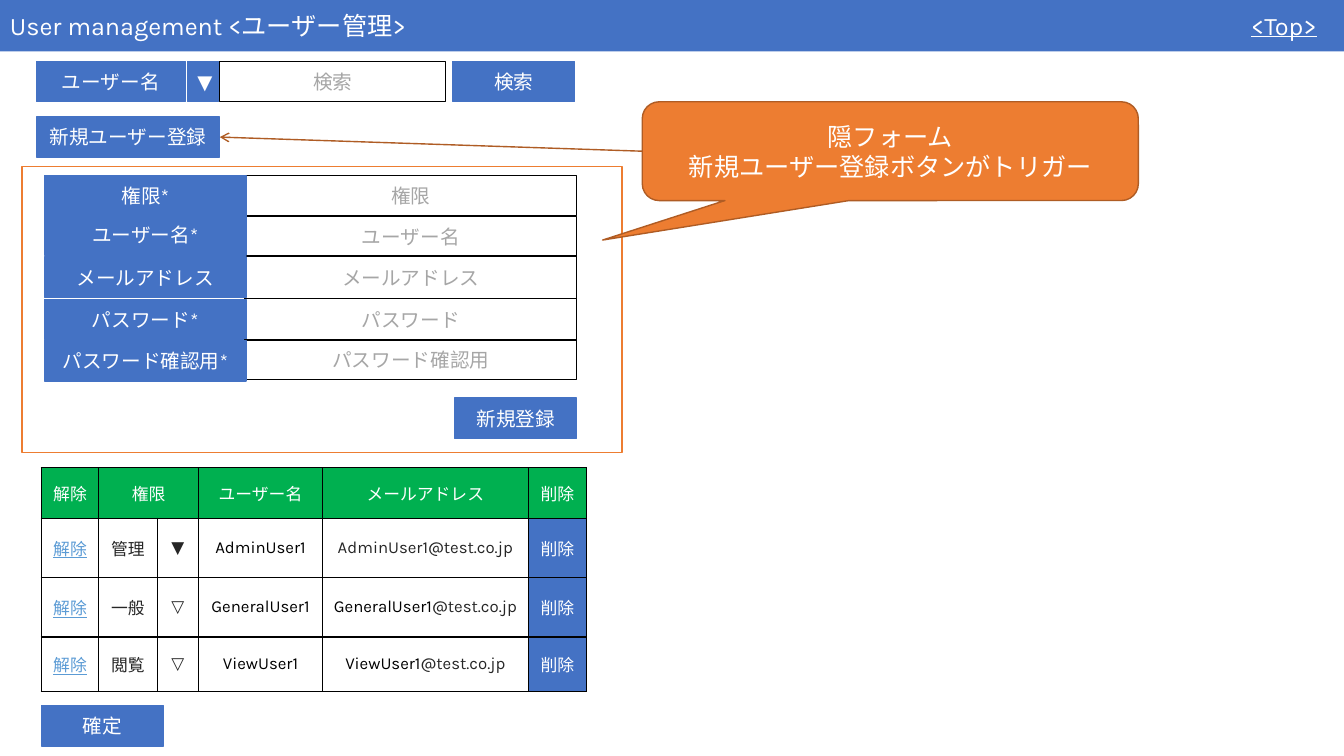
from lxml.etree import SubElement
from pptx import Presentation
from pptx.dml.color import RGBColor
from pptx.enum.shapes import MSO_CONNECTOR, MSO_SHAPE
from pptx.enum.text import MSO_ANCHOR, PP_ALIGN
from pptx.oxml import parse_xml
from pptx.oxml.ns import nsdecls, qn
from pptx.util import Emu, Pt

PX = 9144  # EMU in one px, 100 px to the inch

WHITE = RGBColor(0xFF, 0xFF, 0xFF)
BLACK = RGBColor(0x00, 0x00, 0x00)
DARK = RGBColor(0x26, 0x26, 0x26)
GREY = RGBColor(0xA6, 0xA6, 0xA6)
BLUE = RGBColor(0x44, 0x72, 0xC4)
LINK = RGBColor(0x5B, 0x9B, 0xD5)
GREEN = RGBColor(0x00, 0xB0, 0x50)
ORANGE = RGBColor(0xED, 0x7D, 0x31)
RUST = RGBColor(0xAF, 0x5C, 0x24)


def px(length):
    return Emu(length * PX)


class Screen:
    font_name = "Karla"

    def __init__(self, page):
        self.page = page

    def set_text(self, para, text, size, color, align=PP_ALIGN.CENTER, underline=None):
        para.text = text
        para.alignment = align
        para.font.name = self.font_name
        para.font.size = Pt(size)
        para.font.color.rgb = color
        para.font.underline = underline

    def box(self, area, fill=None, line=None, weight=1, kind=MSO_SHAPE.RECTANGLE):
        shape = self.page.shapes.add_shape(kind, *map(px, area))
        shape.shadow.inherit = False
        if fill is None:
            shape.fill.background()
        else:
            shape.fill.solid()
            shape.fill.fore_color.rgb = fill
        if line is None:
            shape.line.fill.background()
        else:
            shape.line.color.rgb = line
            shape.line.width = Pt(weight)
        shape.text_frame.vertical_anchor = MSO_ANCHOR.MIDDLE
        return shape

    def bar(self, area, text):
        shape = self.box(area, BLUE)
        self.set_text(shape.text_frame.paragraphs[0], text, 18, WHITE, PP_ALIGN.LEFT)

    def link(self, area, text):
        frame = self.page.shapes.add_textbox(*map(px, area)).text_frame
        frame.word_wrap = False
        self.set_text(frame.paragraphs[0], text, 18, WHITE, PP_ALIGN.LEFT, True)

    def button(self, area, text):
        shape = self.box(area, BLUE, BLUE)
        self.set_text(shape.text_frame.paragraphs[0], text, 14, WHITE)
        return shape

    def field(self, area, hint):
        shape = self.box(area, line=BLACK, weight=0.75)
        shape.text_frame.word_wrap = False
        self.set_text(shape.text_frame.paragraphs[0], hint, 14, GREY)

    def callout(self, area, lines, adjustments):
        shape = self.box(area, ORANGE, RUST, kind=MSO_SHAPE.ROUNDED_RECTANGULAR_CALLOUT)
        for index, value in enumerate(adjustments):
            shape.adjustments[index] = value
        frame = shape.text_frame
        for index, text in enumerate(lines):
            para = frame.add_paragraph() if index else frame.paragraphs[0]
            self.set_text(para, text, 18, WHITE)
        return shape

    def arrow(self, start, start_side, end, end_side):
        line = self.page.shapes.add_connector(MSO_CONNECTOR.STRAIGHT, 0, 0, 0, 0)
        line.begin_connect(start, start_side)
        line.end_connect(end, end_side)
        line.line.color.rgb = RUST
        line.line.width = Pt(1)
        properties = line._element.spPr
        SubElement(properties.find(qn("a:ln")), qn("a:tailEnd"), type="arrow")
        SubElement(properties, qn("a:effectLst"))

    def cell(self, cell, text, color, fill=None, underline=None):
        cell.vertical_anchor = MSO_ANCHOR.MIDDLE
        self.set_text(cell.text_frame.paragraphs[0], text, 12, color, underline=underline)
        if fill is None:
            cell.fill.background()
        else:
            cell.fill.solid()
            cell.fill.fore_color.rgb = fill
        for index, side in enumerate(("lnL", "lnR", "lnT", "lnB")):
            border = parse_xml(
                f'<a:{side} {nsdecls("a")} w="12700"><a:solidFill>'
                f'<a:srgbClr val="{BLACK}"/></a:solidFill></a:{side}>')
            cell._tc.get_or_add_tcPr().insert(index, border)

    def table(self, left, top, widths, heights):
        table = self.page.shapes.add_table(
            len(heights), len(widths), px(left), px(top),
            px(sum(widths)), px(sum(heights))).table
        table.first_row = table.horz_banding = False
        for column, width in zip(table.columns, widths):
            column.width = px(width)
        for row, height in zip(table.rows, heights):
            row.height = px(height)
        return table


def header(screen):
    screen.bar((0, 0, 1333, 51), "User management <ユーザー管理>")
    screen.link((1231, 5, 95, 40), "<Top>")


def search(screen):
    screen.field((218, 61, 224, 40), "検索")
    screen.button((36, 61, 148, 40), "ユーザー名")
    screen.button((449, 61, 121, 40), "検索")
    screen.button((186, 61, 31, 40), "▼")


def user_table(screen):
    table = screen.table(41, 464, (57, 58, 41, 123, 204, 58), (50, 59, 59, 54))

    # Header row, with one heading over the role and its arrow
    headings = ("解除", "権限", "", "ユーザー名", "メールアドレス", "削除")
    for column, heading in enumerate(headings):
        screen.cell(table.cell(0, column), heading, WHITE, GREEN)
    table.cell(0, 1).merge(table.cell(0, 2))

    # One row for each user
    users = (("管理", "▼", "AdminUser1"), ("一般", "▽", "GeneralUser1"),
             ("閲覧", "▽", "ViewUser1"))
    colors = (LINK, DARK, DARK, BLACK, DARK, WHITE)
    for row, (role, mark, name) in enumerate(users, 1):
        texts = ("解除", role, mark, name, name, "削除")
        for column, (text, color) in enumerate(zip(texts, colors)):
            screen.cell(table.cell(row, column), text, color,
                        BLUE if column == 5 else None, True if column == 0 else None)
        mail = table.cell(row, 4).text_frame.paragraphs[0]
        mail.add_run().text = "@test.co.jp"
        if row > 1:
            mail.runs[0].font.color.rgb = BLACK


def user_form(screen):
    screen.box((22, 165, 595, 284), WHITE, ORANGE)
    rows = (  # label, top of label, top and height of field
        ("権限*", 174, 174, 40),
        ("ユーザー名*", 213, 215, 39),
        ("メールアドレス", 255, 254, 42),
        ("パスワード*", 297, 296, 42),
        ("パスワード確認用*", 338, 337, 40),
    )
    for label, label_top, field_top, height in rows:
        screen.field((243, field_top, 329, height), label.rstrip("*"))
        screen.button((44, label_top, 200, 40), label)
    screen.button((451, 395, 121, 40), "新規登録")


def main():
    deck = Presentation()
    deck.slide_width, deck.slide_height = px(1333), px(750)
    screen = Screen(deck.slides.add_slide(deck.slide_layouts[6]))

    header(screen)
    search(screen)
    user_table(screen)
    user_form(screen)

    # Button that opens the form, and the note on it
    opener = screen.button((36, 116, 182, 40), "新規ユーザー登録")
    note = screen.callout(
        (637, 101, 492, 98), ("隠フォーム", "新規ユーザー登録ボタンがトリガー"),
        (-0.58, 0.9, 0.17))
    screen.arrow(note, 1, opener, 3)

    screen.button((41, 700, 121, 40), "確定")
    deck.save("out.pptx")


if __name__ == "__main__":
    main()
